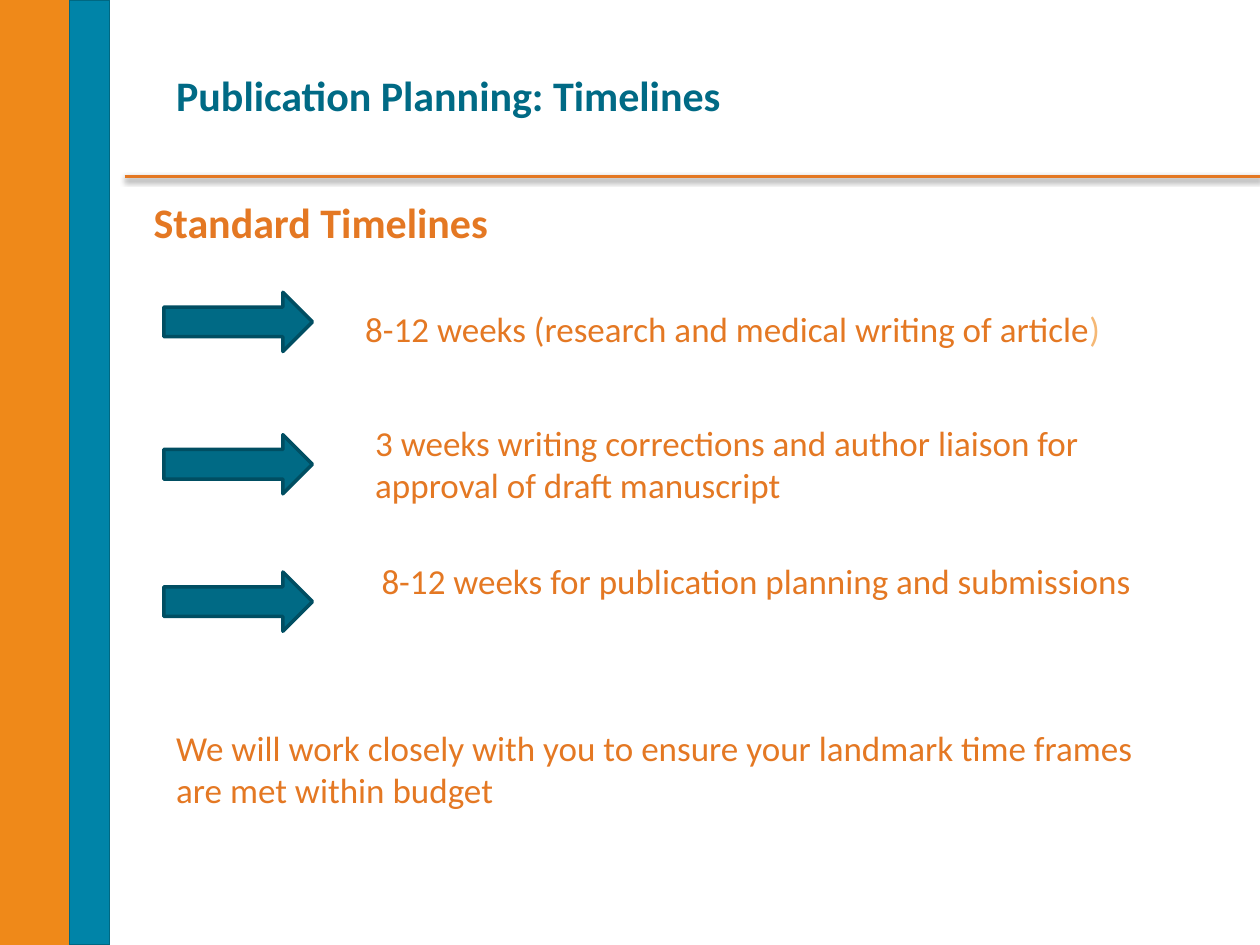
import dataclasses

import lxml.etree
import pptx
import pptx.dml.color
import pptx.enum.shapes
import pptx.oxml.ns
import pptx.util

COLUMNS, ROWS = 100, 75
SHAPE = pptx.enum.shapes.MSO_SHAPE


@dataclasses.dataclass(frozen=True)
class Theme:
    font: str = "Calibri"
    heading: int = 24
    body: int = 20
    orange: str = "E47823"
    pale_orange: str = "F5B875"
    band_orange: str = "EF8919"
    band_blue: str = "0084A8"
    band_edge: str = "006882"
    teal: str = "006A85"
    dark_teal: str = "004E62"


THEME = Theme()


def rgb(color):
    return pptx.dml.color.RGBColor.from_string(color)


def grid(prs, *cells):
    units = (prs.slide_width / COLUMNS, prs.slide_height / ROWS)
    return [round(cell * units[i % 2]) for i, cell in enumerate(cells)]


def add_block(prs, s, kind, cells, fill, edge=None, weight=0):
    sp = s.shapes.add_shape(kind, *grid(prs, *cells))
    sp.shadow.inherit = False
    sp.fill.solid()
    sp.fill.fore_color.rgb = rgb(fill)
    if edge:
        sp.line.color.rgb = rgb(edge)
        sp.line.width = pptx.util.Pt(weight)
    else:
        sp.line.fill.background()


def add_rule(prs, s, cells):
    line = s.shapes.add_connector(
        pptx.enum.shapes.MSO_CONNECTOR.STRAIGHT, *grid(prs, *cells))
    line.line.color.rgb = rgb(THEME.orange)
    line.line.width = pptx.util.Pt(2)
    qn = pptx.oxml.ns.qn
    effects = lxml.etree.SubElement(line._element.spPr, qn("a:effectLst"))
    shadow = lxml.etree.SubElement(
        effects, qn("a:outerShdw"), blurRad=str(pptx.util.Pt(3.1)),
        dist=str(pptx.util.Pt(1.6)), dir="5400000", rotWithShape="0")
    color = lxml.etree.SubElement(shadow, qn("a:srgbClr"), val="000000")
    lxml.etree.SubElement(color, qn("a:alpha"), val="38000")


def add_text(prs, s, cells, lines, size=THEME.body, color=THEME.orange,
             bold=False, wrap=False):
    tf = s.shapes.add_textbox(*grid(prs, *cells)).text_frame
    tf.word_wrap = wrap
    for i, line in enumerate(lines):
        p = tf.add_paragraph() if i else tf.paragraphs[0]
        p.add_run().text = line
        p.font.name = THEME.font
        p.font.size = pptx.util.Pt(size)
        p.font.bold = bold
        p.font.color.rgb = rgb(color)
    return tf


def add_step(prs, s, arrow_row, cells, lines):
    add_block(prs, s, SHAPE.RIGHT_ARROW, (13, arrow_row, 11.8, 4.7),
              THEME.teal, THEME.dark_teal, 2)
    return add_text(prs, s, cells, lines)


def main():
    prs = pptx.Presentation()
    prs.slide_width = pptx.util.Inches(10)
    prs.slide_height = pptx.util.Inches(7.5)
    s = prs.slides.add_slide(prs.slide_layouts[6])

    add_block(prs, s, SHAPE.RECTANGLE, (0, 0, 6.8, ROWS), THEME.band_orange)
    add_block(prs, s, SHAPE.RECTANGLE, (5.5, 0, 3.2, ROWS),
              THEME.band_blue, THEME.band_edge, 0.75)
    add_rule(prs, s, (9.9, 14, COLUMNS, 14))

    add_text(prs, s, (13, 5, 46.4, 5), ["Publication Planning: Timelines"],
             THEME.heading, THEME.teal, bold=True)
    add_text(prs, s, (11.2, 15.1, 28.8, 5), ["Standard Timelines"],
             THEME.heading, bold=True)

    tf = add_step(prs, s, 23.2, (28, 23.9, 62.1, 4.4),
                  ["8-12 weeks (research and medical writing of article"])
    r = tf.paragraphs[0].add_run()
    r.text = ")"
    r.font.color.rgb = rgb(THEME.pale_orange)
    add_step(prs, s, 34.5, (28.8, 33, 60.3, 7.7),
             ["3 weeks writing corrections and author liaison for",
              "approval of draft manuscript"])
    add_step(prs, s, 45.4, (29.3, 43.9, 63.4, 7.7),
             ["8-12 weeks for publication planning and submissions"])

    add_text(prs, s, (13, 57.2, 80.5, 7.7),
             ["We will work closely with you to ensure your landmark "
              "time frames are met within budget"], wrap=True)
    prs.save("out.pptx")


if __name__ == "__main__":
    main()
